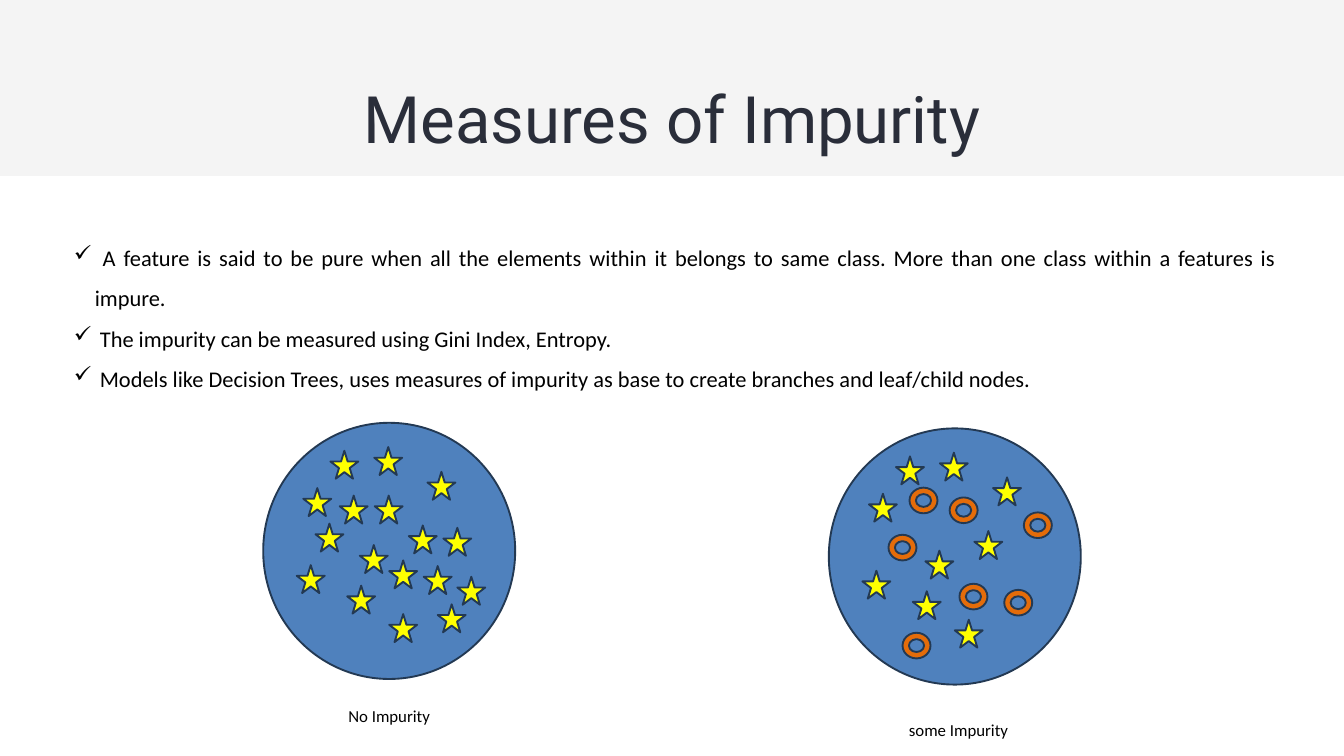
import pptx
import pptx.dml.color
import pptx.enum.shapes
import pptx.enum.text
import pptx.util
from lxml import etree
from pptx.oxml.ns import qn

Pt = pptx.util.Pt
SHAPE = pptx.enum.shapes.MSO_SHAPE
ALIGN = pptx.enum.text.PP_ALIGN

POINTS = [
    " A feature is said to be pure when all the elements within it belongs to "
    "same class. More than one class within a features is impure.",
    " The impurity can be measured using Gini Index, Entropy.",
    " Models like Decision Trees, uses measures of impurity as base to create "
    "branches and leaf/child nodes.",
]

# Offsets of the members from the corner of their circle
SHARED_STARS = [(72, 30), (119, 26), (43, 70), (176, 52.5), (36, 152.5),
                (90, 174.5), (103.5, 131), (135, 205), (156, 110)]
EXTRA_STARS = [(82, 78), (172, 153.5), (193, 112.5), (187, 194.5),
               (135, 147.5), (56, 108), (208, 165), (119.5, 78)]
RINGS = [(86.5, 63.5), (209, 90), (188, 173), (140, 166.5),
         (129.5, 74), (64, 114), (79, 219)]


def color(hex_code):
    return pptx.dml.color.RGBColor.from_string(hex_code)


class SlideBuilder:
    BAND, TITLE, TEXT = "F4F4F4", "2A2E3A", "000000"
    CIRCLE, STAR, RING, OUTLINE = "4F81BD", "FFFF00", "E46C0A", "233953"
    TITLE_FONT, BODY_FONT = "Roboto", "Calibri"

    def __init__(self, slide):
        self.slide = slide

    def shape(self, shapes, kind, box, fill, outline=None):
        item = shapes.add_shape(kind, *map(Pt, box))
        item.shadow.inherit = False
        item.fill.solid()
        item.fill.fore_color.rgb = color(fill)
        if outline:
            item.line.color.rgb = color(outline)
            item.line.width = Pt(2)
        else:
            item.line.fill.background()

    def text(self, box, lines, size, font=BODY_FONT, ink=TEXT, align=ALIGN.CENTER,
             spacing=None, bullet=None, inset=True):
        frame = self.slide.shapes.add_textbox(*map(Pt, box)).text_frame
        frame.word_wrap = True
        if not inset:
            frame.margin_left = frame.margin_right = 0
            frame.margin_top = frame.margin_bottom = 0
        frame.text = "\n".join(lines)
        for paragraph in frame.paragraphs:
            paragraph.alignment = align
            paragraph.line_spacing = spacing
            if bullet:
                self.bullet(paragraph, bullet)
            for run in paragraph.runs:
                run.font.size = Pt(size)
                run.font.name = font
                run.font.color.rgb = color(ink)

    def bullet(self, paragraph, mark):
        properties = paragraph._p.get_or_add_pPr()
        properties.set("marL", str(Pt(22.5)))
        properties.set("indent", str(-Pt(22.5)))
        etree.SubElement(properties, qn("a:buChar")).set("char", mark)

    def cluster(self, left, top, stars, rings=()):
        """Draw a circle with its member stars and rings as one group."""
        shapes = self.slide.shapes.add_group_shape().shapes
        self.shape(shapes, SHAPE.OVAL, (left, top, 270, 274.5),
                   self.CIRCLE, self.OUTLINE)
        for kind, offsets, height, fill in (
                (SHAPE.STAR_5_POINT, stars, 30, self.STAR),
                (SHAPE.DONUT, rings, 27.5, self.RING)):
            for x, y in offsets:
                self.shape(shapes, kind, (left + x, top + y, 30, height),
                           fill, self.OUTLINE)


def main():
    deck = pptx.Presentation()
    deck.slide_width, deck.slide_height = Pt(1440), Pt(810)
    builder = SlideBuilder(deck.slides.add_slide(deck.slide_layouts[6]))

    builder.shape(builder.slide.shapes, SHAPE.RECTANGLE,
                  (0, 0, 1440, 188.5), builder.BAND)
    builder.text((169, 76.5, 1102, 90), ["Measures of Impurity"], 70,
                 builder.TITLE_FONT, builder.TITLE, spacing=Pt(91), inset=False)
    builder.text((72, 243.5, 1302, 176.5), POINTS, 24,
                 align=ALIGN.JUSTIFY, spacing=1.5, bullet="✓")

    builder.cluster(282, 453, SHARED_STARS + EXTRA_STARS)
    builder.cluster(888, 459, SHARED_STARS, RINGS)
    builder.text((282, 753, 270, 29), ["No Impurity"], 18)
    builder.text((892, 767.5, 270, 29), ["some Impurity"], 18)

    deck.save("out.pptx")


if __name__ == "__main__":
    main()
